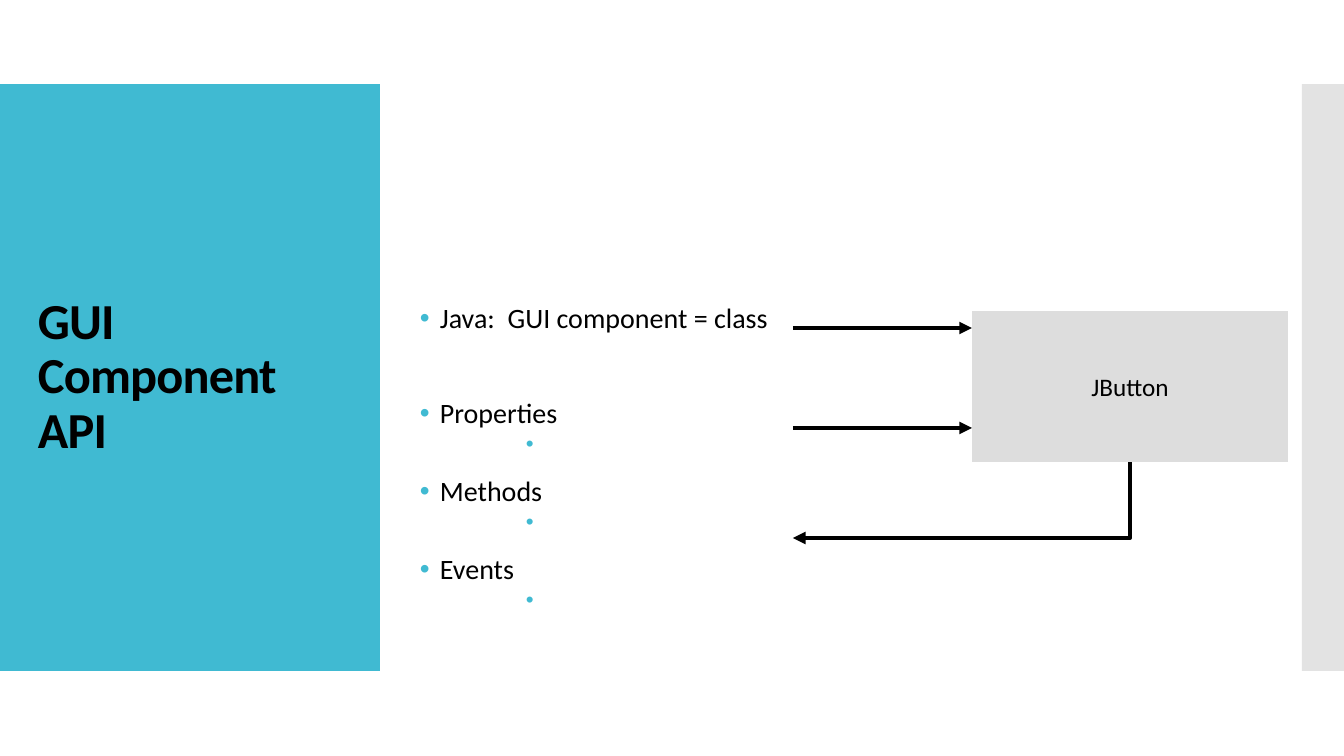
from lxml import etree
from pptx import Presentation
from pptx.dml.color import RGBColor
from pptx.enum.shapes import MSO_CONNECTOR, MSO_SHAPE
from pptx.enum.text import MSO_ANCHOR, PP_ALIGN
from pptx.oxml.ns import qn
from pptx.util import Emu, Pt

# Content
TITLE = "GUI Component API"
BUTTON = "JButton"
# text, size, space before, space after, left indent in px
TOPIC, DETAIL = (20, 12, 0, 20), (16, 2.5, 2.5, 126)
BULLETS = [("Java:  GUI component = class", TOPIC), ("Properties", (20, 46, 0, 20))]
BULLETS += [(" ", DETAIL), ("Methods", TOPIC), (" ", DETAIL), ("Events", TOPIC), (" ", DETAIL)]

# Layout in px
SLIDE = (1344, 756)
TITLE_PANEL = (0, 84, 380, 587)
EDGE_PANEL = (1302, 84, 42, 587)
TITLE_BOX = (28, 124, 325, 507)
BODY_BOX = (410, 269, 898, 380)
BUTTON_BOX = (972, 311, 316, 151)
ARROW_START = 793
INPUT_ROWS = (328, 428)
EVENT_ROW = 538
HANGING = 20

TEAL = RGBColor(0x40, 0xBA, 0xD2)
PALE_GREY = RGBColor(0xC8, 0xC8, 0xC8)
BUTTON_GREY = RGBColor(0xDD, 0xDD, 0xDD)
BLACK = RGBColor(0, 0, 0)
FONT = "Calibri"
SCALE = 914400 / 100.8


def px(length):
    return Emu(round(length * SCALE))


def add_child(parent, tag, **attributes):
    return etree.SubElement(parent, qn(tag), attributes)


def add_block(slide, preset, box, color):
    block = slide.shapes.add_shape(preset, *map(px, box))
    block.shadow.inherit = False
    block.fill.solid()
    block.fill.fore_color.rgb = color
    block.line.fill.background()
    return block


def add_text_frame(slide, box):
    frame = slide.shapes.add_textbox(*map(px, box)).text_frame
    frame.word_wrap = True
    frame.vertical_anchor = MSO_ANCHOR.MIDDLE
    return frame


def add_run(paragraph, text, size):
    run = paragraph.add_run()
    run.text = text
    run.font.name = FONT
    run.font.size = Pt(size)
    run.font.color.rgb = BLACK
    return run


def style_arrow(line):
    line.color.rgb = BLACK
    line.width = Pt(3)
    add_child(line._get_or_add_ln(), "a:tailEnd", type="triangle")


prs = Presentation()
prs.slide_width, prs.slide_height = map(px, SLIDE)
slide = prs.slides.add_slide(prs.slide_layouts[6])

# Side panels
add_block(slide, MSO_SHAPE.RECTANGLE, TITLE_PANEL, TEAL)
edge = add_block(slide, MSO_SHAPE.RECTANGLE, EDGE_PANEL, PALE_GREY)
edge_color = edge.fill._xPr.find(qn("a:solidFill"))[0]
add_child(edge_color, "a:alpha", val="50000")

# Title
heading = add_text_frame(slide, TITLE_BOX).paragraphs[0]
heading.line_spacing = 0.9
heading_run = add_run(heading, TITLE, 36)
heading_run.font.bold = True
heading_run.font._element.set("spc", "-60")

# Bullet list
body = add_text_frame(slide, BODY_BOX)
for index, (text, (size, before, after, indent)) in enumerate(BULLETS):
    item = body.add_paragraph() if index else body.paragraphs[0]
    item.level = 1 if indent > HANGING else 0
    item.line_spacing = 0.9
    item.space_before, item.space_after = Pt(before), Pt(after)
    props = item._p.get_or_add_pPr()
    props.set("marL", str(px(indent)))
    props.set("indent", str(px(-HANGING)))
    add_child(add_child(props, "a:buClr"), "a:srgbClr", val=str(TEAL))
    add_child(props, "a:buFont", typeface="Arial")
    add_child(props, "a:buChar", char="•")
    add_run(item, text, size)

# Button component
button = add_block(slide, MSO_SHAPE.ACTION_BUTTON_CUSTOM, BUTTON_BOX, BUTTON_GREY)
button.text_frame.word_wrap = False
button.text_frame.vertical_anchor = MSO_ANCHOR.MIDDLE
label = button.text_frame.paragraphs[0]
label.alignment = PP_ALIGN.CENTER
add_run(label, BUTTON, 18)

# Arrows into the button
left, top, width, height = BUTTON_BOX
for row in INPUT_ROWS:
    arrow = slide.shapes.add_connector(
        MSO_CONNECTOR.STRAIGHT, px(ARROW_START), px(row), px(left), px(row))
    style_arrow(arrow.line)
    add_child(arrow._element.spPr, "a:effectLst")

# Event arrow out of the button
center = left + width // 2
outline = slide.shapes.build_freeform(center, top + height, scale=SCALE)
outline.add_line_segments([(center, EVENT_ROW), (ARROW_START, EVENT_ROW)], close=False)
event_arrow = outline.convert_to_shape()
event_arrow.shadow.inherit = False
event_arrow.fill.background()
style_arrow(event_arrow.line)

prs.save("out.pptx")
